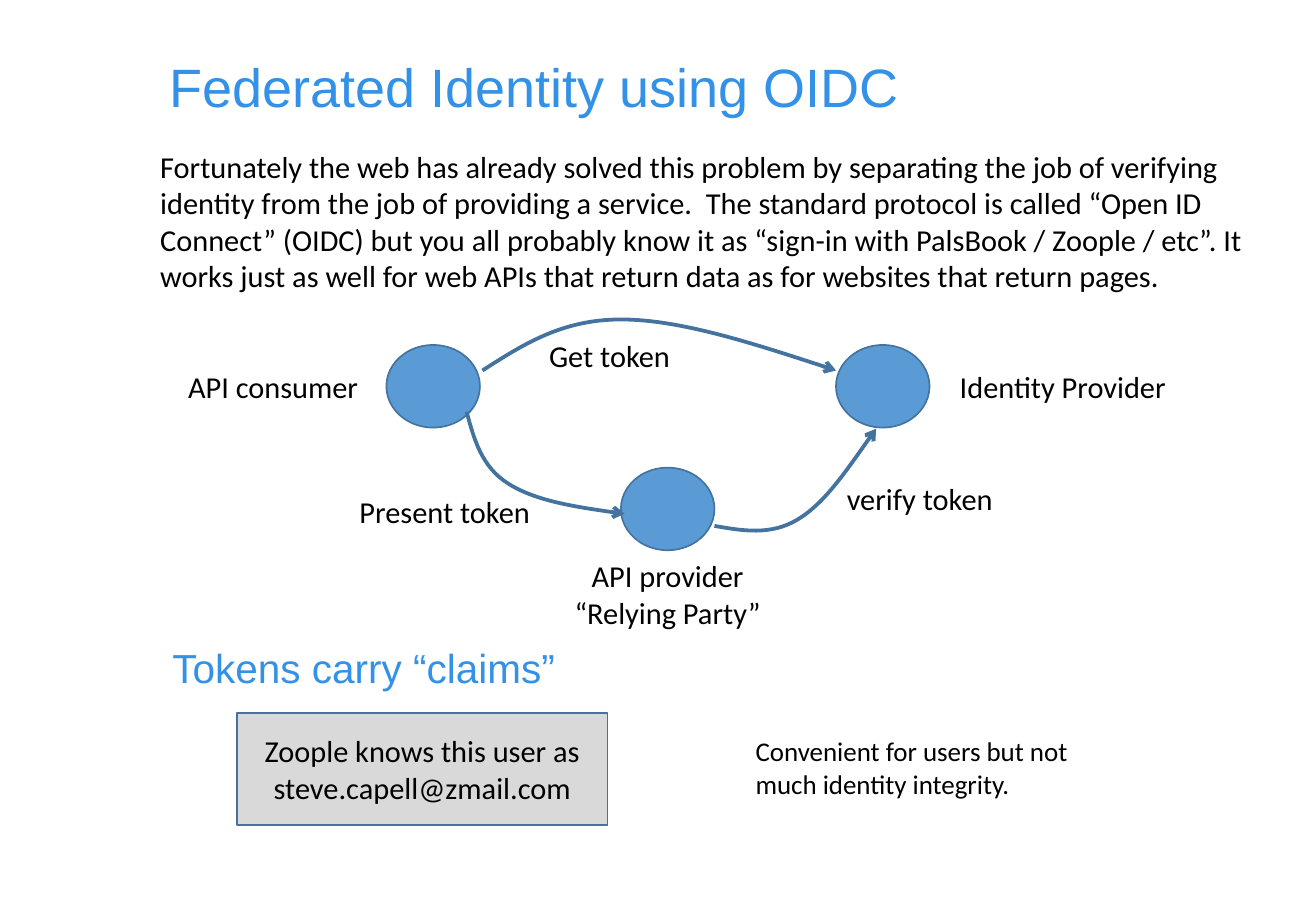
from dataclasses import dataclass

from lxml import etree
from pptx import Presentation
from pptx.dml.color import RGBColor
from pptx.enum.shapes import MSO_SHAPE
from pptx.enum.text import MSO_ANCHOR, PP_ALIGN
from pptx.oxml.ns import qn
from pptx.util import Inches, Pt

OVAL, RECTANGLE = MSO_SHAPE.OVAL, MSO_SHAPE.RECTANGLE
LEFT, CENTER = PP_ALIGN.LEFT, PP_ALIGN.CENTER
TOP, MIDDLE = MSO_ANCHOR.TOP, MSO_ANCHOR.MIDDLE
BLANK_LAYOUT = 6


@dataclass(frozen=True)
class Theme:
    heading_font: str = "Arial"
    body_font: str = "Calibri"
    heading: RGBColor = RGBColor(0x33, 0x92, 0xE7)
    text: RGBColor = RGBColor(0, 0, 0)
    node: RGBColor = RGBColor(0x5B, 0x9B, 0xD5)
    line: RGBColor = RGBColor(0x43, 0x73, 0x9E)
    panel: RGBColor = RGBColor(0xD9, 0xD9, 0xD9)
    title_size: Pt = Pt(32)
    subtitle_size: Pt = Pt(24)
    body_size: Pt = Pt(18)
    note_size: Pt = Pt(16)
    outline: Pt = Pt(1)
    arrow: Pt = Pt(2.25)


THEME = Theme()
NODE_SIZE = (0.77, 0.68)

INTRO = (
    "Fortunately the web has already solved this problem by separating the job of "
    "verifying identity from the job of providing a service.  The standard protocol "
    "is called “Open ID Connect” (OIDC) but you all probably know it as “sign-in with "
    "PalsBook / Zoople / etc”. It works just as well for web APIs that return data as "
    "for websites that return pages."
)

# Position of each party's circle
NODES = [(3.18, 2.84), (6.88, 2.84), (5.11, 3.85)]

# Text, box, alignment
LABELS = [
    (INTRO, (1.22, 1.17, 9.5, 1.31), LEFT),
    ("API consumer", (1.45, 2.98, 1.87, 0.4), LEFT),
    ("Identity Provider", (7.8, 2.98, 2.34, 0.4), LEFT),
    ("API provider\n“Relying Party”", (4.56, 4.54, 1.87, 0.71), CENTER),
    ("Get token", (4.42, 2.73, 1.59, 0.4), LEFT),
    ("Present token", (2.86, 4.01, 1.71, 0.4), LEFT),
    ("verify token", (6.87, 3.9, 1.71, 0.4), LEFT),
]

# Start point, then two control points and an end point per curve segment
FLOWS = [
    [(3.97, 3.05), (4.3, 2.84), (4.62, 2.63), (5.11, 2.63),
     (5.59, 2.63), (6.24, 2.84), (6.88, 3.05)],
    [(3.84, 3.39), (3.9, 3.61), (3.96, 3.84), (4.18, 3.98),
     (4.4, 4.12), (4.77, 4.18), (5.14, 4.23)],
    [(5.88, 4.33), (6.11, 4.37), (6.34, 4.41), (6.56, 4.28),
     (6.78, 4.15), (6.99, 3.84), (7.21, 3.53)],
]


def write_text(shape, text, size, font, color, alignment=LEFT, anchor=TOP, spacing=1.0):
    frame = shape.text_frame
    frame.word_wrap = True
    frame.vertical_anchor = anchor
    frame.text = text
    for paragraph in frame.paragraphs:
        paragraph.alignment = alignment
        paragraph.line_spacing = spacing
        paragraph.font.size = size
        paragraph.font.name = font
        paragraph.font.color.rgb = color


def add_label(slide, text, box, alignment=LEFT, size=THEME.body_size):
    shape = slide.shapes.add_textbox(*map(Inches, box))
    write_text(shape, text, size, THEME.body_font, THEME.text, alignment)


def add_heading(slide, text, box, size):
    shape = slide.shapes.add_textbox(*map(Inches, box))
    write_text(shape, text, size, THEME.heading_font, THEME.heading,
               anchor=MIDDLE, spacing=0.9)


def add_filled_shape(slide, kind, box, fill):
    shape = slide.shapes.add_shape(kind, *map(Inches, box))
    shape.shadow.inherit = False
    shape.fill.solid()
    shape.fill.fore_color.rgb = fill
    shape.line.color.rgb = THEME.line
    shape.line.width = THEME.outline
    return shape


def add_curved_arrow(slide, points):
    start, *others = [(Inches(x), Inches(y)) for x, y in points]
    builder = slide.shapes.build_freeform(*start)
    builder.add_line_segments(others, close=False)
    shape = builder.convert_to_shape()
    shape.shadow.inherit = False
    shape.fill.background()
    shape.line.color.rgb = THEME.line
    shape.line.width = THEME.arrow

    # Merge each three straight segments into one Bezier segment
    segments = list(shape._element.iter(qn("a:lnTo")))
    outline = segments[0].getparent()
    for first in range(0, len(segments), 3):
        curve = etree.SubElement(outline, qn("a:cubicBezTo"))
        for segment in segments[first:first + 3]:
            curve.append(segment[0])
            outline.remove(segment)

    etree.SubElement(shape.line._get_or_add_ln(), qn("a:tailEnd"), type="arrow")


def main():
    presentation = Presentation()
    presentation.slide_width = Inches(10.83)
    presentation.slide_height = Inches(7.5)
    slide = presentation.slides.add_slide(presentation.slide_layouts[BLANK_LAYOUT])

    # Headings
    add_heading(slide, "Federated Identity using OIDC", (1.3, 0.4, 9.34, 0.68),
                THEME.title_size)
    add_heading(slide, "Tokens carry “claims”", (1.32, 5.26, 4, 0.51),
                THEME.subtitle_size)

    # Token flow between the three parties
    for position in NODES:
        add_filled_shape(slide, OVAL, position + NODE_SIZE, THEME.node)
    for points in FLOWS:
        add_curved_arrow(slide, points)
    for text, box, alignment in LABELS:
        add_label(slide, text, box, alignment)

    # Example claim and remark
    claim = add_filled_shape(slide, RECTANGLE, (1.95, 5.87, 3.05, 0.92), THEME.panel)
    write_text(claim, "Zoople knows this user as steve.capell@zmail.com",
               THEME.body_size, THEME.body_font, THEME.text, CENTER, MIDDLE)
    add_label(slide, "Convenient for users but not much identity integrity.",
              (6.12, 6, 3.07, 0.64), size=THEME.note_size)

    presentation.save("out.pptx")


if __name__ == "__main__":
    main()
